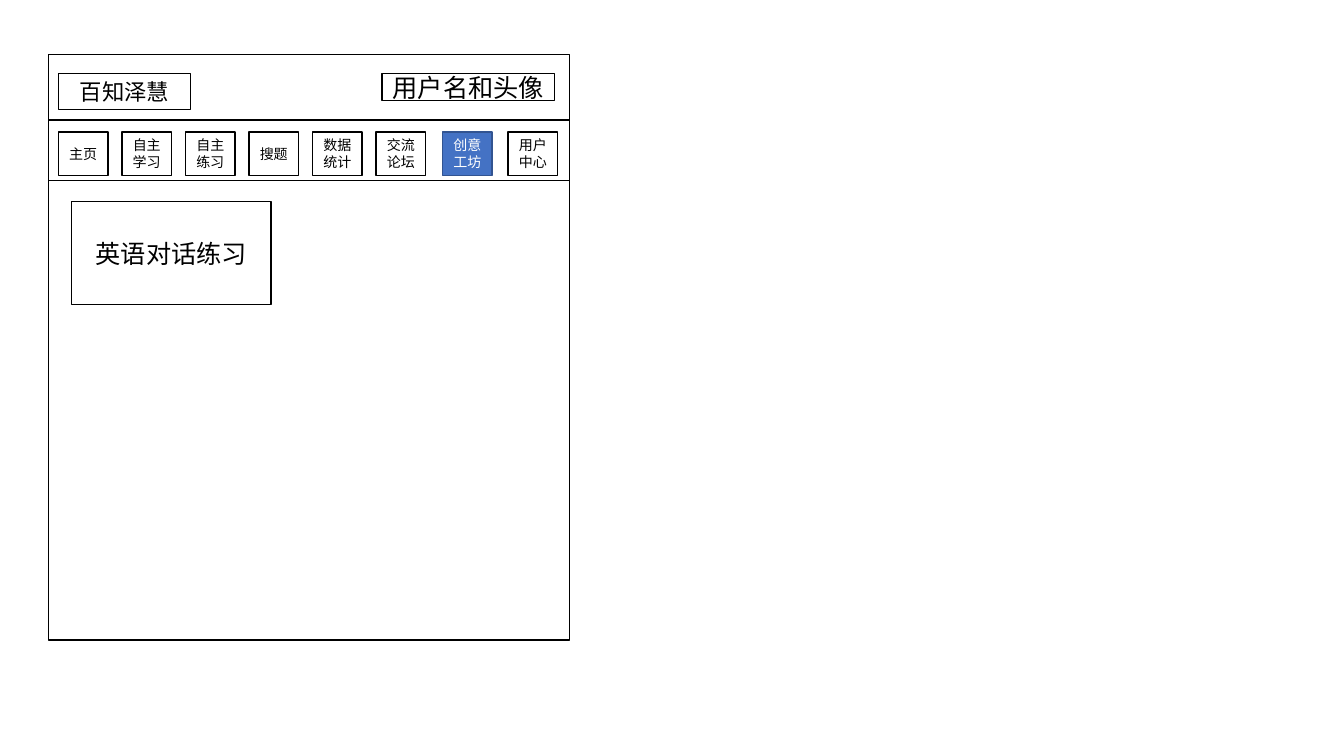
from collections import namedtuple

from lxml import etree
from pptx import Presentation
from pptx import util as u
from pptx.dml.color import RGBColor
from pptx.enum import shapes, text
from pptx.oxml.ns import qn

FONT = "Noto Sans CJK SC"
PLAIN = {"fill": "FFFFFF", "line": "000000", "ink": "000000"}
ACTIVE = {"fill": "4472C4", "line": "325491", "ink": "FFFFFF"}
TABS = ["主页", "自主学习", "自主练习", "搜题", "数据统计", "交流论坛"]
END_TABS = [("创意工坊", ACTIVE), ("用户中心", PLAIN)]
Box = namedtuple("Box", "left top width height")


def colour(value):
    """Turn a hex string into a colour."""
    return RGBColor.from_string(value)


def inside(box, left, top, width, height):
    """Return a box placed relative to the corner of another box."""
    return Box(box.left + left, box.top + top, width, height)


def add_panel(parent, box, label="", size=10, style=PLAIN):
    """Draw a bordered rectangle with an optional centred label."""
    panel = parent.shapes.add_shape(
        shapes.MSO_SHAPE.RECTANGLE, *(u.Inches(length) for length in box))
    panel.shadow.inherit = False
    panel.fill.solid()
    panel.fill.fore_color.rgb = colour(style["fill"])
    panel.line.color.rgb = colour(style["line"])
    panel.line.width = u.Pt(1)
    if label:
        frame = panel.text_frame
        settings = {"word_wrap": True, "vertical_anchor": text.MSO_ANCHOR.MIDDLE}
        for name, value in settings.items():
            setattr(frame, name, value)
        para = frame.paragraphs[0]
        para.alignment = text.PP_ALIGN.CENTER
        span = para.add_run()
        span.text = label
        for name, value in {"name": FONT, "size": u.Pt(size)}.items():
            setattr(span.font, name, value)
        span.font.color.rgb = colour(style["ink"])
        etree.SubElement(span.font._element, qn("a:ea"), typeface=FONT)


def add_divider(parent, box):
    """Draw a rule along the bottom edge of a box."""
    bottom = u.Inches(box.top + box.height)
    rule = parent.shapes.add_connector(
        shapes.MSO_CONNECTOR.STRAIGHT, u.Inches(box.left), bottom,
        u.Inches(box.left + box.width), bottom)
    rule.line.color.rgb = colour("000000")
    rule.line.width = u.Pt(1)
    etree.SubElement(rule._element.spPr, qn("a:effectLst"))


def add_header(parent, box):
    """Place the site name and the user badge above a divider."""
    add_divider(parent, box)
    add_panel(parent, inside(box, 0.1, 0.19, 1.31, 0.36), "百知泽慧", 16)
    add_panel(parent, inside(box, 3.31, 0.19, 1.71, 0.27), "用户名和头像", 18)


def add_navigation(parent, box):
    """Place the row of tabs above a divider."""
    add_divider(parent, box)
    tabs = [(0.1 + 0.63 * column, label, PLAIN)
            for column, label in enumerate(TABS)]
    tabs += [(3.91 + 0.65 * column, label, style)
             for column, (label, style) in enumerate(END_TABS)]
    for left, label, style in tabs:
        add_panel(parent, inside(box, left, 0.12, 0.49, 0.43), label, style=style)


def add_content(parent, box):
    """Place the exercise card in the content area."""
    add_panel(parent, inside(box, 0.23, 0.21, 1.98, 1.02), "英语对话练习", 18)


def add_wireframe(page, box):
    """Lay out the window, its header, navigation and content."""
    window = page.shapes.add_group_shape()
    add_panel(window, box)
    add_header(window, inside(box, 0, 0, box.width, 0.65))
    add_navigation(window, inside(box, 0, 0.65, box.width, 0.6))
    add_content(page, inside(box, 0, 1.25, box.width, box.height - 1.25))


def main():
    """Build and save the deck."""
    deck = Presentation()
    deck.slide_width, deck.slide_height = u.Inches(13.33), u.Inches(7.5)
    page = deck.slides.add_slide(deck.slide_layouts[6])
    add_wireframe(page, Box(0.48, 0.54, 5.17, 5.81))
    deck.save("out.pptx")


if __name__ == "__main__":
    main()
